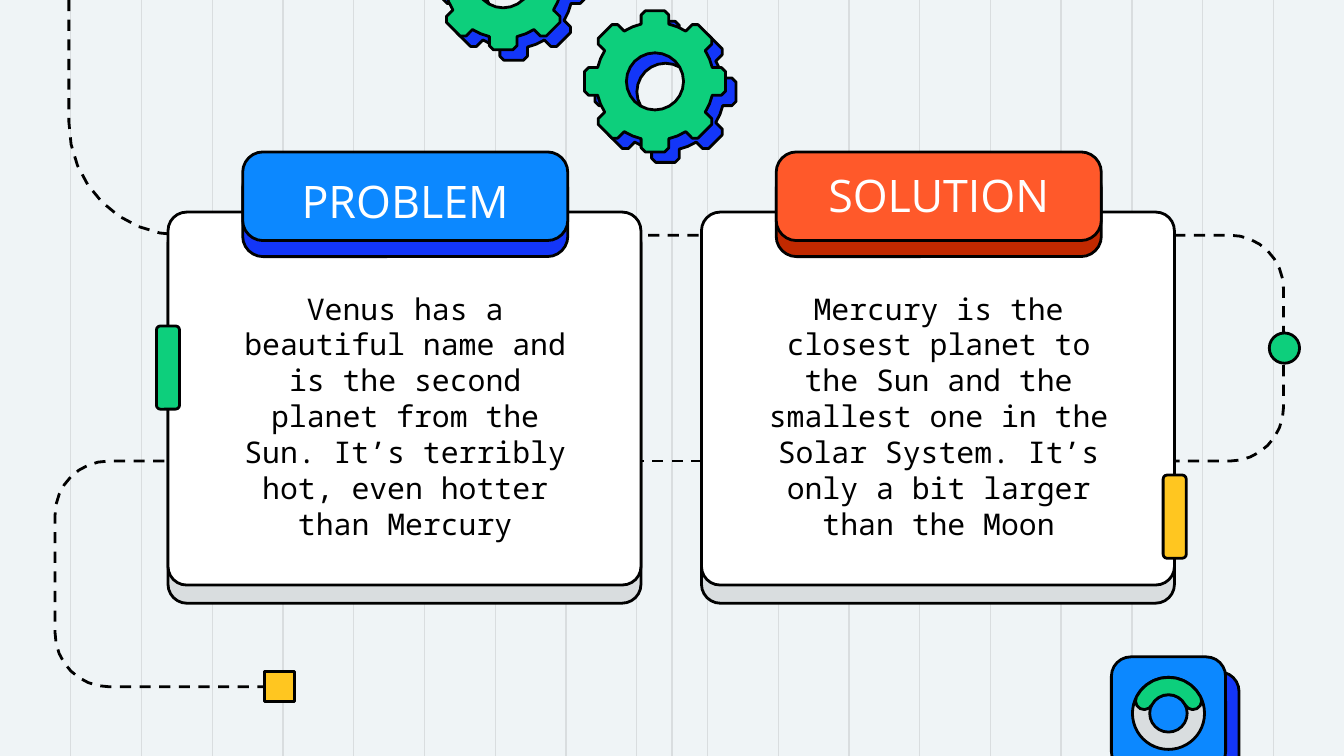
from dataclasses import dataclass
from math import cos, hypot, radians, sin

from lxml.etree import SubElement
from pptx import Presentation
from pptx.dml.color import RGBColor
from pptx.enum.dml import MSO_LINE
from pptx.enum.shapes import MSO_CONNECTOR as Connector
from pptx.enum.shapes import MSO_SHAPE as Preset
from pptx.enum.text import MSO_ANCHOR as Anchor
from pptx.enum.text import PP_ALIGN as Align
from pptx.oxml.ns import qn
from pptx.util import Pt

COLOURS = {
    "background": "EFF4F6", "grid": "D9DDDF", "black": "000000", "white": "FFFFFF",
    "blue": "0C88FF", "deep blue": "1336F8", "orange": "FF592A",
    "deep orange": "C12900", "green": "0DCF7C", "yellow": "FFC620",
}
WIDTH, HEIGHT = 720, 405
GRID_STEP = 37.9
OUTLINE = 1.5
CARD_WIDTH = 253.4
CORNER_STEPS = 8

Point = tuple[float, float]


@dataclass
class Card:
    left: float
    title: str
    title_top: float
    body: str
    header: str
    header_shade: str
    tab: str
    tab_centre: Point


@dataclass
class Route:
    corners: list[Point]
    radius: float


@dataclass
class Gear:
    x: float
    y: float


CARDS = [
    Card(90, "PROBLEM", 87.1,
         "Venus has a beautiful name and is the second planet from the Sun. "
         "It’s terribly hot, even hotter than Mercury",
         "blue", "deep blue", "green", (90, 196.9)),
    Card(375.8, "SOLUTION", 84.2,
         "Mercury is the closest planet to the Sun and the smallest one in the "
         "Solar System. It’s only a bit larger than the Moon",
         "orange", "deep orange", "yellow", (629.3, 276.8)),
]
ROUTES = [
    Route([(256.3, 247), (29.5, 247), (29.5, 367.9), (142.6, 367.9)], 28.8),
    Route([(36.9, 0), (36.9, 126), (387.4, 126)], 60.5),
    Route([(460.8, 126), (687.6, 126), (687.6, 247), (574.6, 247)], 28.8),
]
GEARS = [Gear(269.6, -11.1), Gear(350.9, 43.6)]

# One gear tooth pointing up, and the rim point that follows it
TOOTH = [(-7.4, -30.7), (-7.4, -35.6), (-5.2, -37.8),
         (5.2, -37.8), (7.4, -35.6), (7.4, -30.7), (12.1, -29.2)]


def colour(name: str) -> RGBColor:
    return RGBColor.from_string(COLOURS[name])


def style(shape, fill: str | None) -> None:
    shape.shadow.inherit = False
    if fill:
        shape.fill.solid()
        shape.fill.fore_color.rgb = colour(fill)
    else:
        shape.fill.background()
    shape.line.color.rgb = colour("black")
    shape.line.width = Pt(OUTLINE)


def add_preset(kind, left: float, top: float, width: float, height: float,
               fill: str, adjustment: float | None = None) -> None:
    shape = slide.shapes.add_shape(kind, Pt(left), Pt(top), Pt(width), Pt(height))
    style(shape, fill)
    if adjustment is not None:
        shape.adjustments[0] = adjustment


def add_line(start: Point, end: Point, line_colour: str, width: float):
    ends = [Pt(value) for value in (*start, *end)]
    line = slide.shapes.add_connector(Connector.STRAIGHT, *ends)
    line.line.color.rgb = colour(line_colour)
    line.line.width = Pt(width)
    SubElement(line._element.spPr, qn("a:effectLst"))
    return line


def add_outline(contours: list[list[Point]], fill: str | None, close: bool = True):
    scaled = [[(Pt(x), Pt(y)) for x, y in contour] for contour in contours]
    builder = slide.shapes.build_freeform(*scaled[0][0])
    builder.add_line_segments(scaled[0][1:], close=close)
    for contour in scaled[1:]:
        builder.move_to(*contour[0])
        builder.add_line_segments(contour[1:], close=close)
    shape = builder.convert_to_shape()
    style(shape, fill)
    return shape


def arc(x: float, y: float, radius: float, start: float, end: float,
        steps: int) -> list[Point]:
    angles = [radians(start + (end - start) * i / steps) for i in range(steps + 1)]
    return [(x + radius * cos(a), y + radius * sin(a)) for a in angles]


def add_route(route: Route) -> None:
    """Draw a dashed right-angled path with rounded corners."""
    corners = route.corners
    points = [corners[0]]
    for before, corner, after in zip(corners, corners[1:], corners[2:]):
        back, ahead = [
            ((x - corner[0]) / hypot(x - corner[0], y - corner[1]),
             (y - corner[1]) / hypot(x - corner[0], y - corner[1]))
            for x, y in (before, after)]
        for i in range(CORNER_STEPS + 1):
            a = radians(90 * i / CORNER_STEPS)
            points.append(tuple(
                corner[k] + route.radius * (back[k] * (1 - sin(a)) + ahead[k] * (1 - cos(a)))
                for k in (0, 1)))
    points.append(corners[-1])
    add_outline([points], None, close=False).line.dash_style = MSO_LINE.DASH


def add_gear(x: float, y: float, fill: str) -> None:
    rim = []
    for i in range(8):
        c, s = cos(radians(45 * i)), sin(radians(45 * i))
        rim += [(x + c * px - s * py, y + s * px + c * py) for px, py in TOOTH]
    add_outline([rim, arc(x, y, 15.3, 360, 0, 24)], fill)


def add_gear_pair(gear: Gear) -> None:
    add_gear(gear.x + 5.6, gear.y + 5.6, "deep blue")
    add_gear(gear.x, gear.y, "green")


def add_text(text: str, left: float, top: float, width: float, height: float,
             font: str, size: float, text_colour: str, anchor, after: float = 0) -> None:
    box = slide.shapes.add_textbox(Pt(left), Pt(top), Pt(width), Pt(height))
    frame = box.text_frame
    frame.word_wrap = True
    frame.vertical_anchor = anchor
    frame.margin_left = frame.margin_right = Pt(7.2)
    frame.margin_top = frame.margin_bottom = Pt(7.2)
    paragraph = frame.paragraphs[0]
    paragraph.alignment = Align.CENTER
    paragraph.space_after = Pt(after)
    run = paragraph.add_run()
    run.text = text
    run.font.name = font
    run.font.size = Pt(size)
    run.font.color.rgb = colour(text_colour)


def add_card(card: Card) -> None:
    # Panel, side tab and header
    for top, height, fill in ((120.2, 203, "grid"), (113.6, 199.8, "white")):
        add_preset(Preset.ROUNDED_RECTANGLE, card.left, top, CARD_WIDTH, height, fill, 0.05)
    x, y = card.tab_centre
    add_preset(Preset.ROUNDED_RECTANGLE, x - 6.2, y - 22.3, 12.4, 44.6, card.tab, 0.17)
    for top, fill in ((90, card.header_shade), (81.4, card.header)):
        add_preset(Preset.ROUNDED_RECTANGLE, card.left + 40, top, 174.2, 47.5, fill, 0.23)
    # Wording
    add_text(card.body, card.left + 25.9, 148.3, 202.3, 150.5,
             "Noto Sans Mono", 16, "black", Anchor.TOP, 8)
    add_text(card.title, card.left + 55.4, card.title_top, 143.3, 41.8,
             "Open Sans", 24, "white", Anchor.BOTTOM)


def add_ring_icon() -> None:
    for left, top, fill in ((602.6, 360, "deep blue"), (595.4, 351.9, "blue")):
        add_preset(Preset.ROUNDED_RECTANGLE, left, top, 61.2, 61.2, fill, 0.17)
    x, y, outer, inner = 626, 382.2, 19.3, 10
    add_preset(Preset.DONUT, x - outer, y - outer, 2 * outer, 2 * outer, "grid", 0.24)
    # Green band with round ends
    middle, cap = (outer + inner) / 2, (outer - inner) / 2
    start, end = 207, 333
    right, left = [arc(x, y, middle, a, a, 1)[0] for a in (end, start)]
    add_outline([arc(x, y, outer, start, end, 10) + arc(*right, cap, end, end + 180, 6)
                 + arc(x, y, inner, end, start, 8)
                 + arc(*left, cap, start + 180, start + 360, 6)], "green")


presentation = Presentation()
presentation.slide_width, presentation.slide_height = Pt(WIDTH), Pt(HEIGHT)
slide = presentation.slides.add_slide(presentation.slide_layouts[6])
slide.background.fill.solid()
slide.background.fill.fore_color.rgb = colour("background")

# Background grid
for grid_x in [GRID_STEP * i for i in range(1, 19)] + [WIDTH / 2]:
    add_line((grid_x, 0), (grid_x, HEIGHT), "grid", 0.75)

# Dashed routes behind the cards
add_line((275.8, 247), (490.3, 247), "black", OUTLINE).line.dash_style = MSO_LINE.DASH
for dashed_route in ROUTES:
    add_route(dashed_route)

# Cards
for text_card in CARDS:
    add_card(text_card)

# Route markers
add_preset(Preset.OVAL, 680, 178.4, 16.2, 16.2, "green")
add_preset(Preset.RECTANGLE, 141.7, 359.7, 16.2, 16.2, "yellow")

# Decorations
for gear_pair in GEARS:
    add_gear_pair(gear_pair)
add_ring_icon()

presentation.save("out.pptx")
